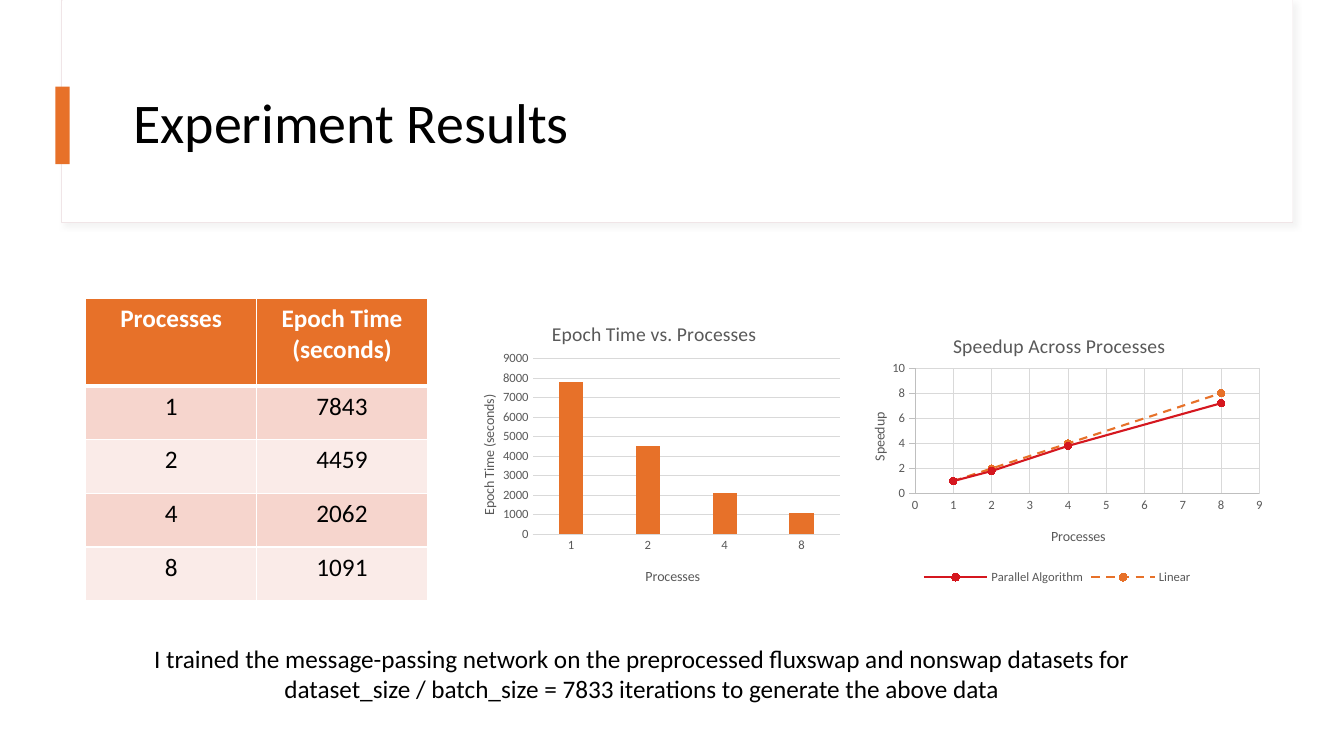
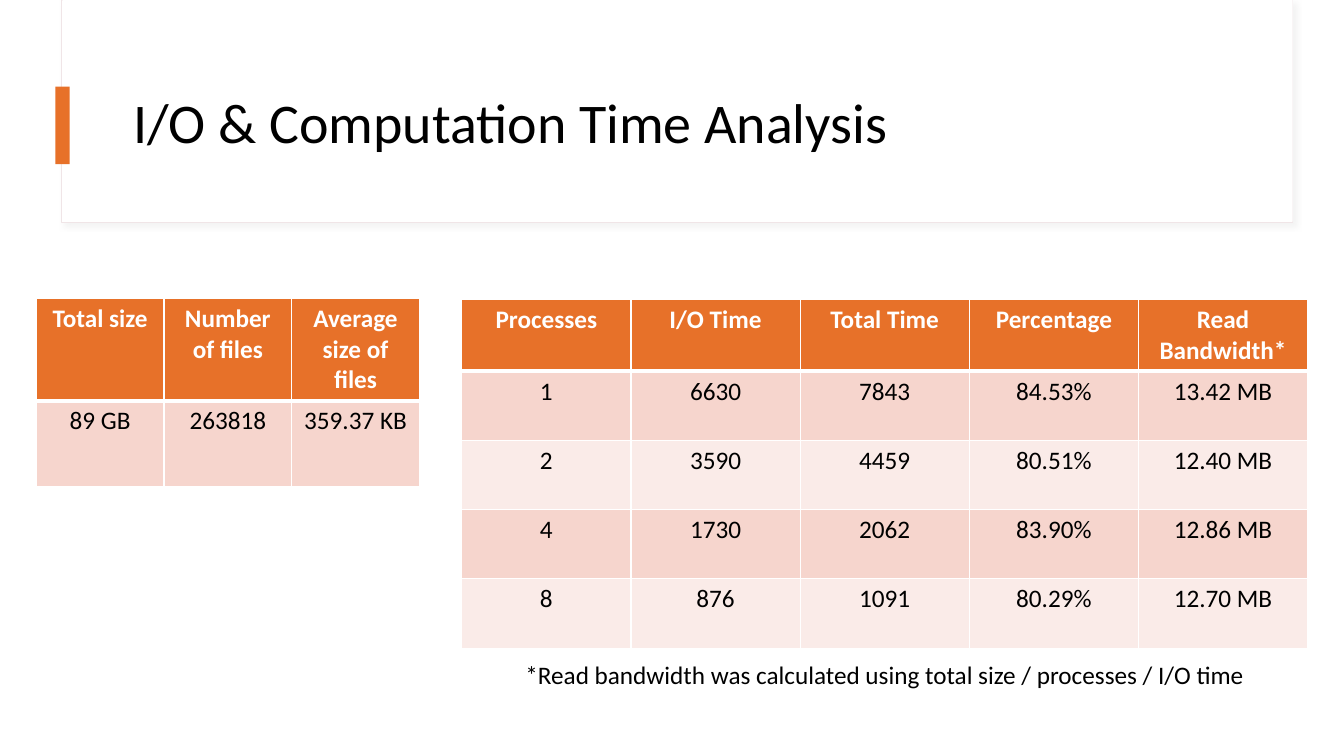
from dataclasses import dataclass

from lxml.etree import SubElement
from pptx import Presentation
from pptx.chart.data import CategoryChartData, XyChartData
from pptx.dml.color import RGBColor
from pptx.enum.chart import XL_CHART_TYPE as ChartType
from pptx.enum.chart import XL_LEGEND_POSITION as LegendPosition
from pptx.enum.chart import XL_MARKER_STYLE as Marker
from pptx.enum.chart import XL_TICK_MARK as Tick
from pptx.enum.dml import MSO_LINE_DASH_STYLE as Dash
from pptx.enum.shapes import MSO_SHAPE as Preset
from pptx.enum.shapes import PP_PLACEHOLDER as Role
from pptx.enum.text import MSO_ANCHOR as Anchor
from pptx.enum.text import MSO_AUTO_SIZE as AutoSize
from pptx.enum.text import PP_ALIGN as Align
from pptx.oxml.ns import qn
from pptx.util import Inches, Pt

FONT = "Calibri"
BLACK, WHITE, GRAY = "000000", "FFFFFF", "595959"
ORANGE, RED = "E77129", "D5171F"
ROSE, BLUSH = "F6D5CD", "FAEBE8"
FRAME, GRID, AXIS = "F0E5E7", "D9D9D9", "BFBFBF"


@dataclass(frozen=True)
class Box:
    left: float
    top: float
    width: float
    height: float

    def inches(self) -> tuple:
        return tuple(map(Inches, (self.left, self.top, self.width, self.height)))


@dataclass(frozen=True)
class Band:
    box: Box
    fill: str
    line: str | None = None


@dataclass(frozen=True)
class Grid:
    box: Box
    header_height: float
    rows: tuple


@dataclass(frozen=True)
class Scale:
    title: str
    place: tuple
    line: str | None
    grid: bool
    tick: Tick = Tick.NONE
    top: float | None = None
    step: float | None = None
    turned: bool = False


@dataclass(frozen=True)
class Plan:
    box: Box
    title: str
    place: tuple
    plot: tuple
    horizontal: Scale
    vertical: Scale


BANDS = (
    Band(Box(0.61, 0, 12.21, 2.21), WHITE, FRAME),
    Band(Box(0.62, 0, 12.2, 2.2), WHITE),
    Band(Box(0.55, 0.86, 0.14, 0.77), ORANGE),
)
TITLE_BOX = Box(1.22, 0.6, 11.12, 1.29)

EPOCH_TIMES = Grid(Box(0.85, 2.96, 3.39, 3), 0.87, (
    ("Processes", "Epoch Time (seconds)"),
    ("1", "7843"),
    ("2", "4459"),
    ("4", "2062"),
    ("8", "1091"),
))
IO_TIMES = Grid(Box(4.58, 2.97, 8.39, 3.44), 0.69, (
    ("Processes", "I/O Time", "Total Time", "Percentage", "Read Bandwidth*"),
    ("1", "6630", "7843", "84.53%", "13.42 MB"),
    ("2", "3590", "4459", "80.51%", "12.40 MB"),
    ("4", "1730", "2062", "83.90%", "12.86 MB"),
    ("8", "876", "1091", "80.29%", "12.70 MB"),
))
FILE_SIZES = Grid(Box(0.36, 2.96, 3.8, 1.85), 1.0, (
    ("Total size", "Number of files", "Average size of files"),
    ("89 GB", "263818", "359.37 KB"),
))

EPOCH_PLAN = Plan(
    Box(4.5, 2.96, 3.91, 3), "Epoch Time vs. Processes", (0.24, 0.06), (0.2, 0.2, 0.78, 0.58),
    Scale("Processes", (0.48, 0.88), GRID, False),
    Scale("Epoch Time (seconds)", (0.06, 0.31), None, True, top=9000, step=1000, turned=True),
)
SPEEDUP_PLAN = Plan(
    Box(8.35, 3.07, 4.27, 2.77), "Speedup Across Processes", (0.25, 0.07), (0.17, 0.21, 0.8, 0.45),
    Scale("Processes", (0.48, 0.77), AXIS, True, top=9, step=1),
    Scale("Speedup", (0.06, 0.36), AXIS, True, Tick.OUTSIDE, 10, 2, turned=True),
)


def color(value: str) -> RGBColor:
    return RGBColor.from_string(value)


def paint(fill, value: str) -> None:
    fill.solid()
    fill.fore_color.rgb = color(value)


def style_font(font, size: float, shade: str, bold: bool = False) -> None:
    font.name, font.size, font.bold = FONT, Pt(size), bold
    font.color.rgb = color(shade)


def write(frame, text: str, *, size: float = 18, shade: str = BLACK, bold: bool = False,
          align: Align = Align.CENTER, spacing: float | None = None) -> None:
    paragraph = frame.paragraphs[0]
    paragraph.alignment = align
    if spacing:
        paragraph.line_spacing = spacing
    run = paragraph.add_run()
    run.text = text
    style_font(run.font, size, shade, bold)


def add_shadow(band) -> None:
    effects = band.element.spPr.find(qn("a:effectLst"))
    shadow = SubElement(effects, qn("a:outerShdw"), blurRad=str(Pt(4)), dist=str(Pt(3)),
                        dir="2700000", algn="tl", rotWithShape="0")
    shade = SubElement(shadow, qn("a:srgbClr"), val=GRID)
    SubElement(shade, qn("a:alpha"), val="30000")


def add_band(slide, band: Band):
    panel = slide.shapes.add_shape(Preset.RECTANGLE, *band.box.inches())
    panel.shadow.inherit = False
    paint(panel.fill, band.fill)
    if band.line:
        panel.line.color.rgb = color(band.line)
        panel.line.width = Pt(0.75)
        add_shadow(panel)
    else:
        panel.line.fill.background()
    return panel


def move_bands_to_layout(slide, layout) -> None:
    for holder in list(layout.placeholders):
        if holder.placeholder_format.type != Role.TITLE:
            holder.element.getparent().remove(holder.element)
    heading = layout.placeholders[0]
    for panel in [add_band(slide, band) for band in BANDS]:
        heading.element.addprevious(panel.element)


def write_title(slide, text: str) -> None:
    title = slide.shapes.title
    title.left, title.top, title.width, title.height = TITLE_BOX.inches()
    frame = title.text_frame
    frame.word_wrap = True
    frame.auto_size = AutoSize.NONE
    frame.vertical_anchor = Anchor.MIDDLE
    write(frame, text, size=40, align=Align.LEFT, spacing=0.9)


def add_note(slide, box: Box, text: str) -> None:
    frame = slide.shapes.add_textbox(*box.inches()).text_frame
    frame.word_wrap = True
    frame.auto_size = AutoSize.SHAPE_TO_FIT_TEXT
    write(frame, text)


def border(cell, top: float, bottom: float) -> None:
    properties = cell._tc.get_or_add_tcPr()
    for side, width in (("L", 1), ("R", 1), ("T", top), ("B", bottom)):
        edge = SubElement(properties, qn(f"a:ln{side}"), w=str(Pt(width)))
        SubElement(SubElement(edge, qn("a:solidFill")), qn("a:srgbClr"), val=WHITE)


def add_grid(slide, grid: Grid) -> None:
    row_count, column_count = len(grid.rows), len(grid.rows[0])
    table = slide.shapes.add_table(row_count, column_count, *grid.box.inches()).table
    for column in table.columns:
        column.width = Inches(grid.box.width / column_count)
    body_height = (grid.box.height - grid.header_height) / (row_count - 1)
    for index, texts in enumerate(grid.rows):
        header = index == 0
        table.rows[index].height = Inches(grid.header_height if header else body_height)
        for position, text in enumerate(texts):
            cell = table.cell(index, position)
            border(cell, 3 if index == 1 else 1, 3 if header else 1)
            paint(cell.fill, ORANGE if header else (BLUSH, ROSE)[index % 2])
            write(cell.text_frame, text, shade=WHITE if header else BLACK, bold=header)


def fill_layout(layout, place: tuple, inner: bool = False) -> None:
    manual = SubElement(layout, qn("c:manualLayout"))
    if inner:
        SubElement(manual, qn("c:layoutTarget"), val="inner")
    for key in ("xMode", "yMode"):
        SubElement(manual, qn(f"c:{key}"), val="edge")
    for key, value in zip("xywh", place):
        SubElement(manual, qn(f"c:{key}"), val=str(value))


def place_plot(chart, place: tuple) -> None:
    area = chart.element.find(f".//{qn('c:plotArea')}")
    for stale in area.findall(qn("c:layout")):
        area.remove(stale)
    layout = SubElement(area, qn("c:layout"))
    area.insert(0, layout)
    fill_layout(layout, place, inner=True)


def label(title, text: str, place: tuple, size: float, turned: bool = False) -> None:
    write(title.text_frame, text, size=size, shade=GRAY)
    if turned:
        body = title.element.find(f".//{qn('a:bodyPr')}")
        body.set("rot", "-5400000")
        body.set("vert", "horz")
    for stale in title.element.findall(qn("c:layout")):
        title.element.remove(stale)
    layout = SubElement(title.element, qn("c:layout"))
    title.element.find(qn("c:tx")).addnext(layout)
    fill_layout(layout, place)


def format_axis(axis, scale: Scale) -> None:
    label(axis.axis_title, scale.title, scale.place, 10, scale.turned)
    style_font(axis.tick_labels.font, 9, GRAY)
    axis.major_tick_mark, axis.minor_tick_mark = scale.tick, Tick.NONE
    axis.has_major_gridlines = scale.grid
    if scale.grid:
        rule = axis.major_gridlines.format.line
        rule.color.rgb, rule.width = color(GRID), Pt(0.75)
    if scale.line:
        axis.format.line.color.rgb = color(scale.line)
        axis.format.line.width = Pt(0.75)
    else:
        axis.format.line.fill.background()
    if scale.top:
        axis.minimum_scale, axis.maximum_scale = 0, scale.top
        axis.major_unit = scale.step


def add_plan(slide, plan: Plan, kind: ChartType, values):
    chart = slide.shapes.add_chart(kind, *plan.box.inches(), values).chart
    style_font(chart.font, 10, BLACK)
    chart.has_title = True
    label(chart.chart_title, plan.title, plan.place, 14)
    format_axis(chart.category_axis, plan.horizontal)
    format_axis(chart.value_axis, plan.vertical)
    place_plot(chart, plan.plot)
    chart.has_legend = False
    chart.plots[0].vary_by_categories = False
    return chart


def add_epoch_chart(slide) -> None:
    times = CategoryChartData()
    times.categories = ("1", "2", "4", "8")
    times.add_series("Series 1", (7800, 4500, 2100, 1100))
    bars = add_plan(slide, EPOCH_PLAN, ChartType.COLUMN_CLUSTERED, times).plots[0]
    bars.gap_width, bars.overlap = 219, -27
    paint(bars.series[0].format.fill, ORANGE)


def add_speedup_chart(slide) -> None:
    speedups = XyChartData()
    for name, values in (("Parallel Algorithm", (1, 1.8, 3.8, 7.2)), ("Linear", (1, 2, 4, 8))):
        curve = speedups.add_series(name)
        for processes, speedup in zip((1, 2, 4, 8), values):
            curve.add_data_point(processes, speedup)
    chart = add_plan(slide, SPEEDUP_PLAN, ChartType.XY_SCATTER_LINES, speedups)
    for curve, shade, dash in zip(chart.plots[0].series, (RED, ORANGE), (Dash.SOLID, Dash.DASH)):
        curve.smooth = False
        stroke = curve.format.line
        stroke.color.rgb, stroke.width, stroke.dash_style = color(shade), Pt(1.5), dash
        curve.marker.style, curve.marker.size = Marker.CIRCLE, 5
        paint(curve.marker.format.fill, shade)
        curve.marker.format.line.color.rgb = color(shade)
    chart.has_legend = True
    chart.legend.position = LegendPosition.BOTTOM
    chart.legend.include_in_layout = False
    style_font(chart.legend.font, 9, GRAY)


def main() -> None:
    deck = Presentation()
    deck.slide_width, deck.slide_height = Inches(13.33), Inches(7.5)
    layout = deck.slide_layouts[5]

    results = deck.slides.add_slide(layout)
    move_bands_to_layout(results, layout)
    write_title(results, "Experiment Results")
    add_grid(results, EPOCH_TIMES)
    add_epoch_chart(results)
    add_note(results, Box(0.73, 6.33, 11.27, 0.71),
             "I trained the message-passing network on the preprocessed fluxswap and nonswap "
             "datasets for dataset_size / batch_size = 7833 iterations to generate the above data")
    add_speedup_chart(results)

    analysis = deck.slides.add_slide(layout)
    write_title(analysis, "I/O & Computation Time Analysis")
    add_grid(analysis, IO_TIMES)
    add_grid(analysis, FILE_SIZES)
    add_note(analysis, Box(4.58, 6.49, 8.39, 0.41),
             "*Read bandwidth was calculated using total size / processes / I/O time")
    deck.save("out.pptx")


if __name__ == "__main__":
    main()
